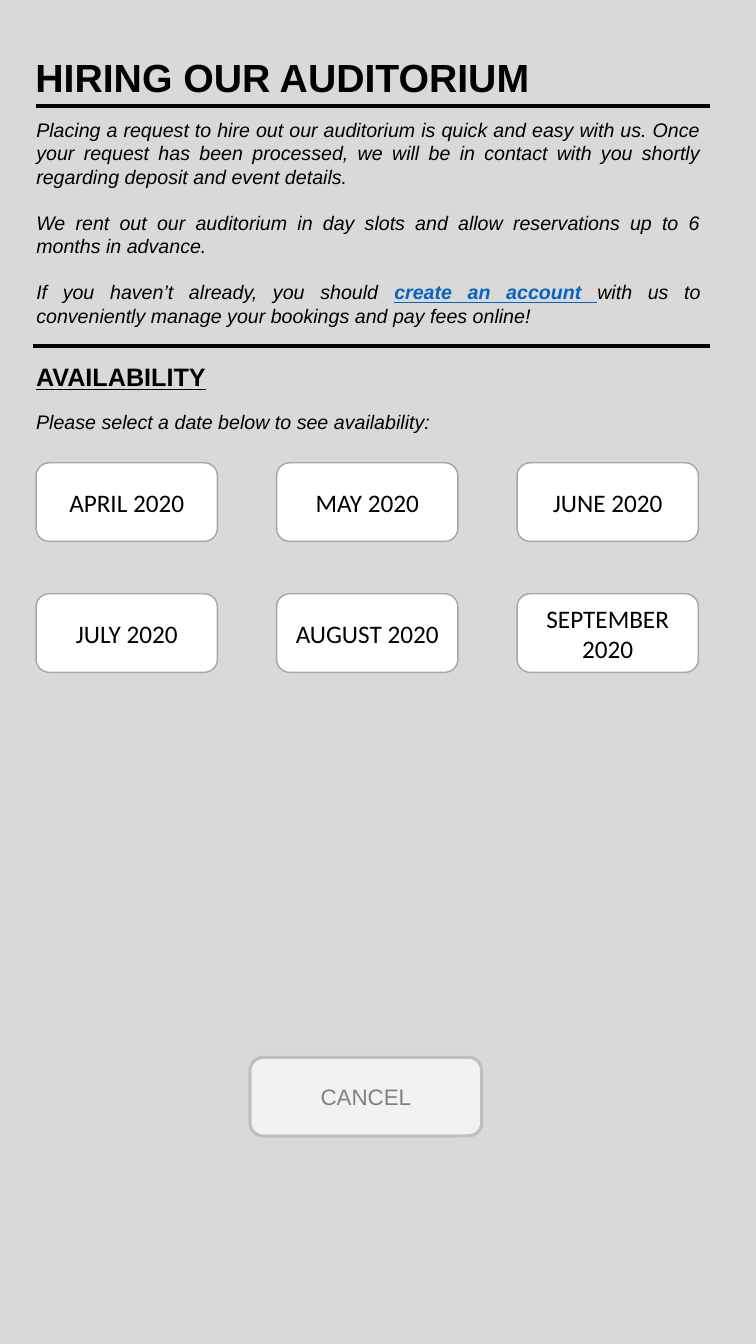
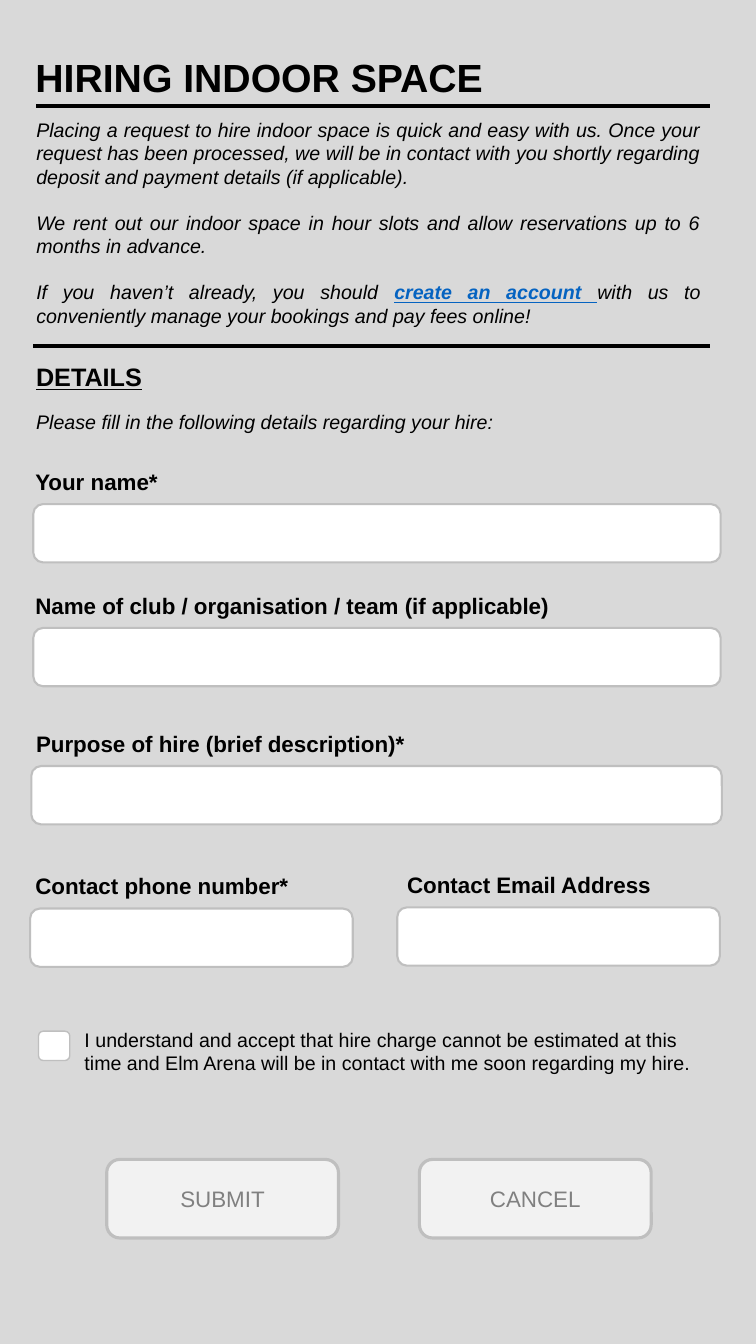
"""Build two booking screens: hiring the auditorium and hiring indoor space."""
import pptx
import pptx.dml.color
import pptx.enum.shapes
import pptx.enum.text
import pptx.oxml
import pptx.util

Cm = pptx.util.Cm
Pt = pptx.util.Pt
ALIGN = pptx.enum.text.PP_ALIGN

TITLE = {"size": Pt(28), "bold": True}
HEADING = {"size": Pt(18), "bold": True, "underline": True}
PROMPT = {"size": Pt(14), "italic": True}
LINK = {"size": Pt(14), "italic": True, "bold": True, "underline": True, "color": "0563C1"}
LABEL = {"size": Pt(16), "bold": True}
CONSENT = {"size": Pt(14)}
MONTH = {"size": Pt(18), "name": "Calibri"}
ACTION = {"size": Pt(16), "color": "808080"}

MONTH_BOX = ("FFFFFF", "A6A6A6", 1)
ACTION_BOX = ("F2F2F2", "BFBFBF", 2.25)
FIELD_BOX = ("FFFFFF", "BFBFBF", 1.5)
CHECK_BOX = ("FFFFFF", "BFBFBF", 1)


def colour(value):
    return pptx.dml.color.RGBColor.from_string(value)


def write(paragraph, text, style, alignment=ALIGN.LEFT):
    paragraph.alignment = alignment
    run = paragraph.add_run()
    run.text = text
    for name, value in {"name": "Arial", "color": "000000", **style}.items():
        if name == "color":
            run.font.color.rgb = colour(value)
        else:
            setattr(run.font, name, value)


months = ["APRIL 2020", "MAY 2020", "JUNE 2020", "JULY 2020", "AUGUST 2020", "SEPTEMBER 2020"]
month_boxes = [
    (0.91 + 6.06 * (index % 3), 11.66 + 3.3 * (index // 3), 4.57, 1.98, MONTH_BOX, month, MONTH)
    for index, month in enumerate(months)
]

fields = [
    ("Your name*", 0.64, 0.84, 12.7, 17.32),
    ("Name of club / organisation / team (if applicable)", 0.64, 0.84, 15.82, 17.32),
    ("Purpose of hire (brief description)*", 0.66, 0.79, 19.3, 17.4),
    ("Contact phone number*", 0.64, 0.76, 22.89, 8.13),
    ("Contact Email Address", 10.01, 10.01, 22.86, 8.13),
]
field_boxes = [(left, top, width, 1.47, FIELD_BOX, "", {}) for _, _, left, top, width in fields]
field_labels = [
    (label_left, top - 1.03, width, 0.94, label, LABEL)
    for label, label_left, _, top, width in fields
]

pages = [
    {
        "title": "HIRING OUR AUDITORIUM",
        "intro": [
            "Placing a request to hire out our auditorium is quick and easy with us. Once your request "
            "has been processed, we will be in contact with you shortly regarding deposit and event details.",
            "We rent out our auditorium in day slots and allow reservations up to 6 months in advance.",
        ],
        "heading": "AVAILABILITY",
        "prompt": "Please select a date below to see availability:",
        "boxes": month_boxes + [(6.3, 26.64, 5.84, 1.98, ACTION_BOX, "CANCEL", ACTION)],
        "texts": [],
    },
    {
        "title": "HIRING INDOOR SPACE",
        "intro": [
            "Placing a request to hire indoor space is quick and easy with us. Once your request has been "
            "processed, we will be in contact with you shortly regarding deposit and payment details "
            "(if applicable).",
            "We rent out our indoor space in hour slots and allow reservations up to 6 months in advance.",
        ],
        "heading": "DETAILS",
        "prompt": "Please fill in the following details regarding your hire:",
        "boxes": field_boxes + [
            (0.97, 25.98, 0.79, 0.74, CHECK_BOX, "", {}),
            (2.69, 29.21, 5.84, 1.98, ACTION_BOX, "SUBMIT", ACTION),
            (10.57, 29.21, 5.84, 1.98, ACTION_BOX, "CANCEL", ACTION),
        ],
        "texts": field_labels + [
            (1.88, 25.76, 16.26, 1.45,
             "I understand and accept that hire charge cannot be estimated at this time and "
             "Elm Arena will be in contact with me soon regarding my hire.", CONSENT),
        ],
    },
]

presentation = pptx.Presentation()
presentation.slide_width = Cm(19.05)
presentation.slide_height = Cm(33.86)
background = presentation.slide_master.background.fill
background.solid()
background.fore_color.rgb = colour("D9D9D9")

layout = presentation.slide_layouts[1]
placeholder_places = [(0.64, 1.22, 17.25, 1.45), (0.66, 2.84, 17.25, 5.64)]
for index, place in enumerate(placeholder_places):
    for name, value in zip(("left", "top", "width", "height"), place):
        setattr(layout.placeholders[index], name, Cm(value))

for page in pages:
    slide = presentation.slides.add_slide(layout)
    write(slide.shapes.title.text_frame.paragraphs[0], page["title"], TITLE)

    body = slide.placeholders[1].text_frame
    for frame in (slide.shapes.title.text_frame, body):
        frame.auto_size = pptx.enum.text.MSO_AUTO_SIZE.NONE
    for index, text in enumerate(page["intro"] + ["If you haven’t already, you should "]):
        paragraph = body.add_paragraph() if index else body.paragraphs[0]
        properties = paragraph._p.get_or_add_pPr()
        properties.set("marL", "0")
        properties.set("indent", "0")
        properties.append(pptx.oxml.parse_xml(
            '<a:buNone xmlns:a="http://schemas.openxmlformats.org/drawingml/2006/main"/>'))
        paragraph.space_before = Pt(16 if index else 0)
        write(paragraph, text, PROMPT, ALIGN.JUSTIFY)
    write(paragraph, "create an account ", LINK, ALIGN.JUSTIFY)
    write(paragraph, "with us to conveniently manage your bookings and pay fees online!",
          PROMPT, ALIGN.JUSTIFY)

    for left, top in [(0.91, 2.67), (0.84, 8.71)]:
        rule = slide.shapes.add_connector(
            pptx.enum.shapes.MSO_CONNECTOR.STRAIGHT, Cm(left), Cm(top), Cm(17.88), Cm(top))
        rule.line.color.rgb = colour("000000")
        rule.line.width = Pt(3)
        rule._element.spPr.append(pptx.oxml.parse_xml(
            '<a:effectLst xmlns:a="http://schemas.openxmlformats.org/drawingml/2006/main"/>'))

    for *place, (fill, line, weight), text, style in page["boxes"]:
        shape = slide.shapes.add_shape(
            pptx.enum.shapes.MSO_SHAPE.ROUNDED_RECTANGLE, *map(Cm, place))
        shape.shadow.inherit = False
        shape.fill.solid()
        shape.fill.fore_color.rgb = colour(fill)
        shape.line.color.rgb = colour(line)
        shape.line.width = Pt(weight)
        if text:
            write(shape.text_frame.paragraphs[0], text, style, ALIGN.CENTER)

    section = [
        (0.66, 8.99, 17.4, 1.02, page["heading"], HEADING),
        (0.66, 10.19, 17.25, 0.86, page["prompt"], PROMPT),
    ]
    for *place, text, style in section + page["texts"]:
        frame = slide.shapes.add_textbox(*map(Cm, place)).text_frame
        frame.word_wrap = True
        write(frame.paragraphs[0], text, style)

presentation.save("out.pptx")
